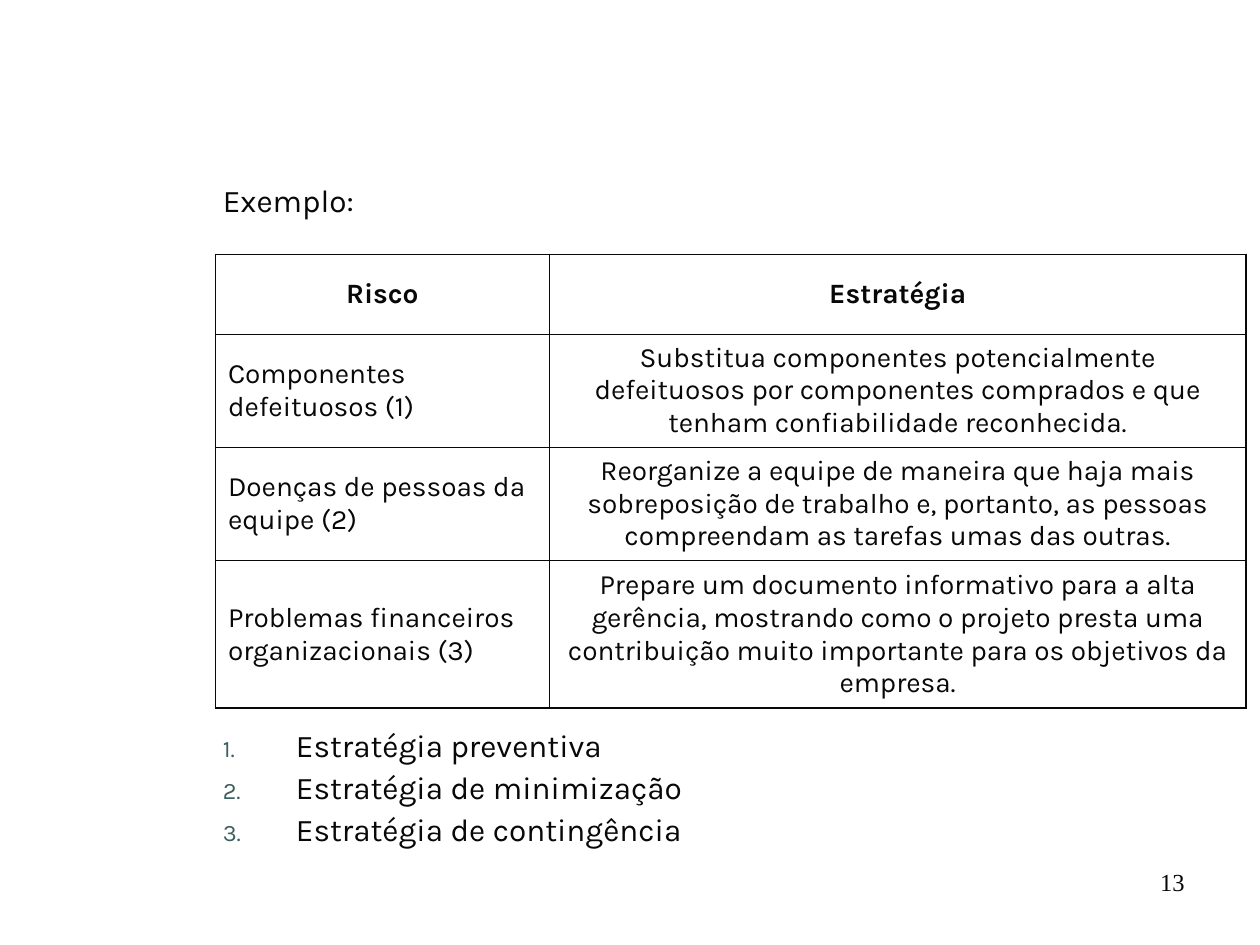
import pptx
import pptx.util
import pptx.dml.color
import pptx.enum.text
from lxml import etree
from pptx.oxml.ns import qn
from pptx.util import Inches, Pt

INK = pptx.dml.color.RGBColor(0x08, 0x08, 0x08)
NUMBER_COLOR = pptx.dml.color.RGBColor(0x3C, 0x60, 0x5F)
ALIGN = pptx.enum.text.PP_ALIGN
FONT = "Karla"
OUTER, INNER = 1.08, 0.45

HEADING = "Exemplo:"
ROWS = [
    ("Risco", "Estratégia"),
    ("Componentes defeituosos (1)",
     "Substitua componentes potencialmente defeituosos por componentes "
     "comprados e que tenham confiabilidade reconhecida."),
    ("Doenças de pessoas da equipe (2)",
     "Reorganize a equipe de maneira que haja mais sobreposição de trabalho e, "
     "portanto, as pessoas compreendam as tarefas umas das outras."),
    ("Problemas financeiros organizacionais (3)",
     "Prepare um documento informativo para a alta gerência, mostrando como o "
     "projeto presta uma contribuição muito importante para os objetivos da empresa."),
]
STRATEGIES = ["Estratégia preventiva", "Estratégia de minimização", "Estratégia de contingência"]
PAGE_NUMBER = "13"
COLUMN_WIDTHS = [2.65, 5.53]
ROW_HEIGHTS = [0.63, 0.9, 0.9, 1.17]


def write(paragraph, text, size, font=FONT, bold=False, align=ALIGN.LEFT):
    paragraph.alignment = align
    run = paragraph.add_run()
    run.text = text
    run.font.size = Pt(size)
    run.font.name = font
    run.font.bold = bold
    run.font.color.rgb = INK


def add_text_frame(slide, left, top, width, height):
    frame = slide.shapes.add_textbox(*map(Inches, (left, top, width, height))).text_frame
    frame.word_wrap = True
    return frame


def space_body(paragraph):
    paragraph.line_spacing = 0.9
    paragraph.space_before = Pt(4.5)


def number(paragraph):
    properties = paragraph._p.get_or_add_pPr()
    properties.set("marL", str(Inches(0.58)))
    properties.set("indent", str(-Inches(0.58)))
    color = etree.SubElement(properties, qn("a:buClr"))
    etree.SubElement(color, qn("a:srgbClr"), val=str(NUMBER_COLOR))
    etree.SubElement(properties, qn("a:buSzPct"), val="75000")
    etree.SubElement(properties, qn("a:buFont"), typeface=FONT)
    etree.SubElement(properties, qn("a:buAutoNum"), type="arabicPeriod")


def set_borders(cell, widths):
    properties = cell._tc.get_or_add_tcPr()
    for position, (side, width) in enumerate(widths.items()):
        line = etree.Element(qn(f"a:ln{side}"), w=str(Pt(width)))
        fill = etree.SubElement(line, qn("a:solidFill"))
        etree.SubElement(fill, qn("a:srgbClr"), val=str(INK))
        properties.insert(position, line)


def add_risk_table(slide):
    last_row, last_column = len(ROWS) - 1, len(COLUMN_WIDTHS) - 1
    table = slide.shapes.add_table(
        len(ROWS), len(COLUMN_WIDTHS), Inches(1.71), Inches(2.02),
        Inches(sum(COLUMN_WIDTHS)), Inches(sum(ROW_HEIGHTS))).table
    table.first_row = table.horz_banding = False
    for column, width in zip(table.columns, COLUMN_WIDTHS):
        column.width = Inches(width)
    for row, height in zip(table.rows, ROW_HEIGHTS):
        row.height = Inches(height)
    for i, texts in enumerate(ROWS):
        for j, text in enumerate(texts):
            cell = table.cell(i, j)
            cell.fill.background()
            cell.vertical_anchor = pptx.enum.text.MSO_ANCHOR.MIDDLE
            paragraph = cell.text_frame.paragraphs[0]
            paragraph.space_before = Pt(4)
            align = ALIGN.CENTER if i == 0 or j == last_column else ALIGN.LEFT
            write(paragraph, text, 16, bold=i == 0, align=align)
            set_borders(cell, {
                "L": OUTER if j == 0 else INNER,
                "R": OUTER if j == last_column else INNER,
                "T": OUTER if i == 0 else INNER,
                "B": OUTER if i == last_row else INNER,
            })


def main():
    presentation = pptx.Presentation()
    presentation.slide_width, presentation.slide_height = Inches(10), Inches(7.5)
    slide = presentation.slides.add_slide(presentation.slide_layouts[6])

    page = add_text_frame(slide, 7.17, 6.83, 2.33, 0.52)
    write(page.paragraphs[0], PAGE_NUMBER, 14, font="Times New Roman", align=ALIGN.RIGHT)

    heading = add_text_frame(slide, 1.67, 1.42, 3.96, 0.45).paragraphs[0]
    space_body(heading)
    write(heading, HEADING, 18)

    add_risk_table(slide)

    strategies = add_text_frame(slide, 1.67, 5.75, 3.96, 1.1)
    for index, text in enumerate(STRATEGIES):
        paragraph = strategies.add_paragraph() if index else strategies.paragraphs[0]
        space_body(paragraph)
        number(paragraph)
        write(paragraph, text, 18)

    presentation.save("out.pptx")


if __name__ == "__main__":
    main()
